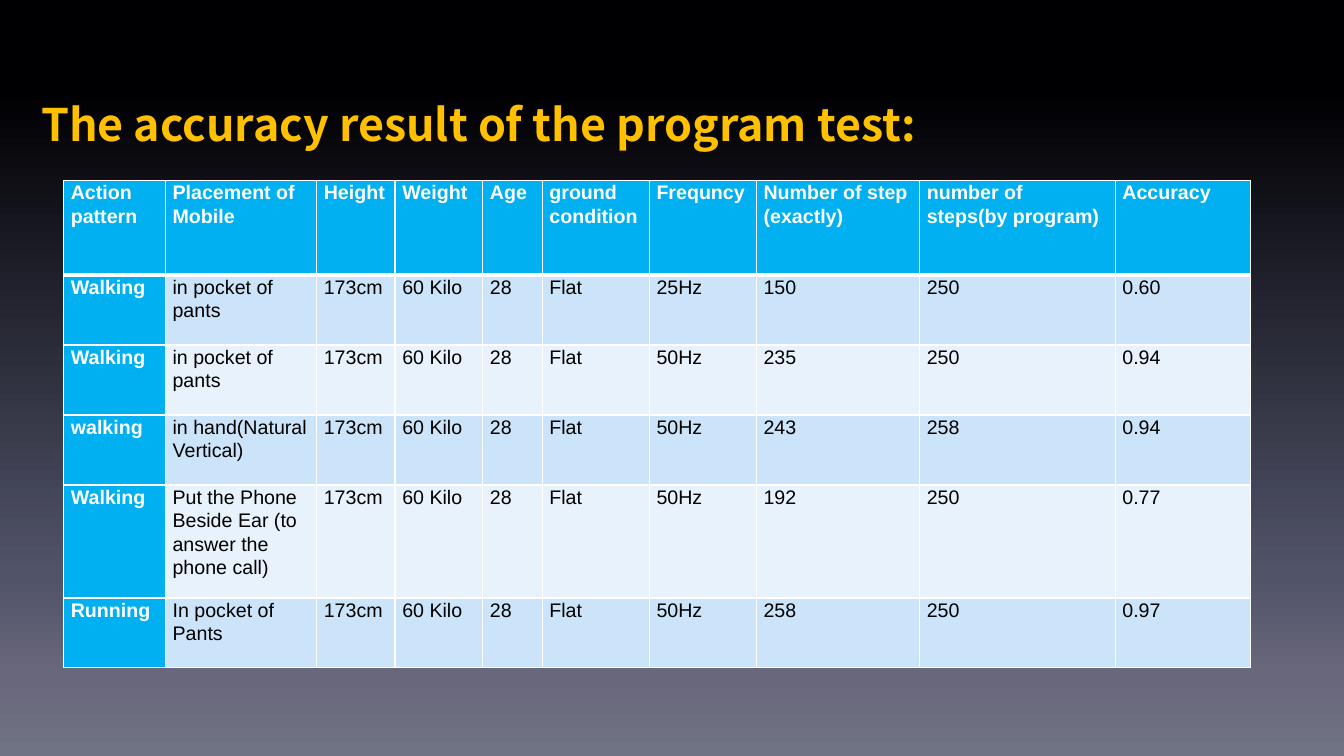
"""Build the slide with the accuracy results of the step counting test."""
from dataclasses import dataclass

from lxml import etree
from pptx import Presentation
from pptx.dml.color import RGBColor
from pptx.enum.text import MSO_AUTO_SIZE
from pptx.oxml.ns import qn
from pptx.slide import Slide
from pptx.table import _Cell
from pptx.text.text import _Paragraph
from pptx.util import Pt

GROW = MSO_AUTO_SIZE.SHAPE_TO_FIT_TEXT
HUES = {
    "gold": "FFC000",
    "white": "FFFFFF",
    "black": "000000",
    "blue": "00B0F0",
    "mid": "CCE4F9",
    "pale": "E7F2FC",
}
SKY = {12: "000003", 76: "515369", 89: "68677B", 100: "707383"}
WIDTHS = (72.7, 108, 56.1, 62.6, 42.5, 76.5, 76.5, 116.6, 139.7, 96.5)
HEADS = (
    "Action pattern", "Placement of Mobile", "Height", "Weight", "Age",
    "ground condition", "Frequncy", "Number of step (exactly)",
    "number of steps(by program)", "Accuracy",
)
PERSON = ("173cm", "60 Kilo", "28", "Flat")
HEAD_TALL = 67.5


@dataclass
class Trial:
    """One test run of the step counter."""
    action: str
    place: str
    rate: str
    exact: str
    count: str
    score: str
    tall: float = 50

    def texts(self) -> tuple[str, ...]:
        """Return the cell texts in column order."""
        return (self.action, self.place, *PERSON,
                self.rate, self.exact, self.count, self.score)


TRIALS = (
    Trial("Walking", "in pocket of pants", "25Hz", "150", "250", "0.60"),
    Trial("Walking", "in pocket of pants", "50Hz", "235", "250", "0.94"),
    Trial("walking", "in hand(Natural Vertical)", "50Hz", "243", "258", "0.94"),
    Trial("Walking", "Put the Phone Beside Ear (to answer the phone call)",
          "50Hz", "192", "250", "0.77", 80.7),
    Trial("Running", "In pocket of Pants", "50Hz", "258", "250", "0.97"),
)


def style(para: _Paragraph, face: str, size: float, hue: str,
          bold: bool, space: float) -> None:
    """Set the line spacing of a paragraph and the font of its runs."""
    para.line_spacing = space
    for run in para.runs:
        font = run.font
        font.name, font.size, font.bold = face, Pt(size), bold
        font.color.rgb = RGBColor.from_string(HUES[hue])


def paint_sky(slide: Slide) -> None:
    """Fill the background with a gradient from top to bottom."""
    fill = slide.background.fill
    fill.gradient()
    fill.gradient_angle = 270
    stops = next(slide.element.iter(qn("a:gsLst")))
    for old in list(stops):
        stops.remove(old)
    for place, hue in SKY.items():
        stop = etree.SubElement(stops, qn("a:gs"), pos=str(place * 1000))
        etree.SubElement(stop, qn("a:srgbClr"), val=hue)


def add_title(slide: Slide, text: str) -> None:
    """Add the slide heading."""
    box = slide.shapes.add_textbox(Pt(22.3), Pt(54), Pt(664), Pt(57.6))
    frame = box.text_frame
    frame.text = text
    frame.word_wrap = False
    frame.auto_size = GROW
    style(frame.paragraphs[0], "Noto Sans CJK SC", 32, "gold", True, 1.3)


def edge(cell: _Cell, side: str, width: float) -> None:
    """Append a white border line to one side of a cell."""
    props = cell._tc.get_or_add_tcPr()
    line = etree.SubElement(props, qn(f"a:{side}"), w=str(Pt(width)))
    fill = etree.SubElement(line, qn("a:solidFill"))
    etree.SubElement(fill, qn("a:srgbClr"), val=HUES["white"])


def fill_cell(cell: _Cell, text: str, row: int, col: int) -> None:
    """Write and colour one cell by its place in the grid."""
    key = row == 0 or col == 0
    cell.text = text
    cell.margin_left = cell.margin_right = Pt(5.2)
    cell.margin_top = cell.margin_bottom = Pt(0)
    ink = "white" if key else "black"
    style(cell.text_frame.paragraphs[0], "Arial", 14, ink, key, 1.07)
    for side in ("lnL", "lnR", "lnT", "lnB"):
        thick = (row, side) in ((0, "lnB"), (1, "lnT"))
        edge(cell, side, 3 if thick else 1)
    band = "mid" if row % 2 else "pale"
    cell.fill.solid()
    cell.fill.fore_color.rgb = RGBColor.from_string(HUES["blue" if key else band])


def add_grid(slide: Slide) -> None:
    """Add the table of trials."""
    rows = (HEADS, *(trial.texts() for trial in TRIALS))
    talls = (HEAD_TALL, *(trial.tall for trial in TRIALS))
    grid = slide.shapes.add_table(
        len(rows), len(WIDTHS), Pt(45.4), Pt(129),
        Pt(sum(WIDTHS)), Pt(sum(talls))).table
    for col, width in zip(grid.columns, WIDTHS):
        col.width = Pt(width)
    for line, tall in zip(grid.rows, talls):
        line.height = Pt(tall)
    for row, texts in enumerate(rows):
        for col, text in enumerate(texts):
            fill_cell(grid.cell(row, col), text, row, col)


def main() -> None:
    """Build and save the deck."""
    deck = Presentation()
    deck.slide_width, deck.slide_height = Pt(960), Pt(540)
    slide = deck.slides.add_slide(deck.slide_layouts[6])
    paint_sky(slide)
    add_title(slide, "The accuracy result of the program test:")
    add_grid(slide)
    deck.save("out.pptx")


main()
